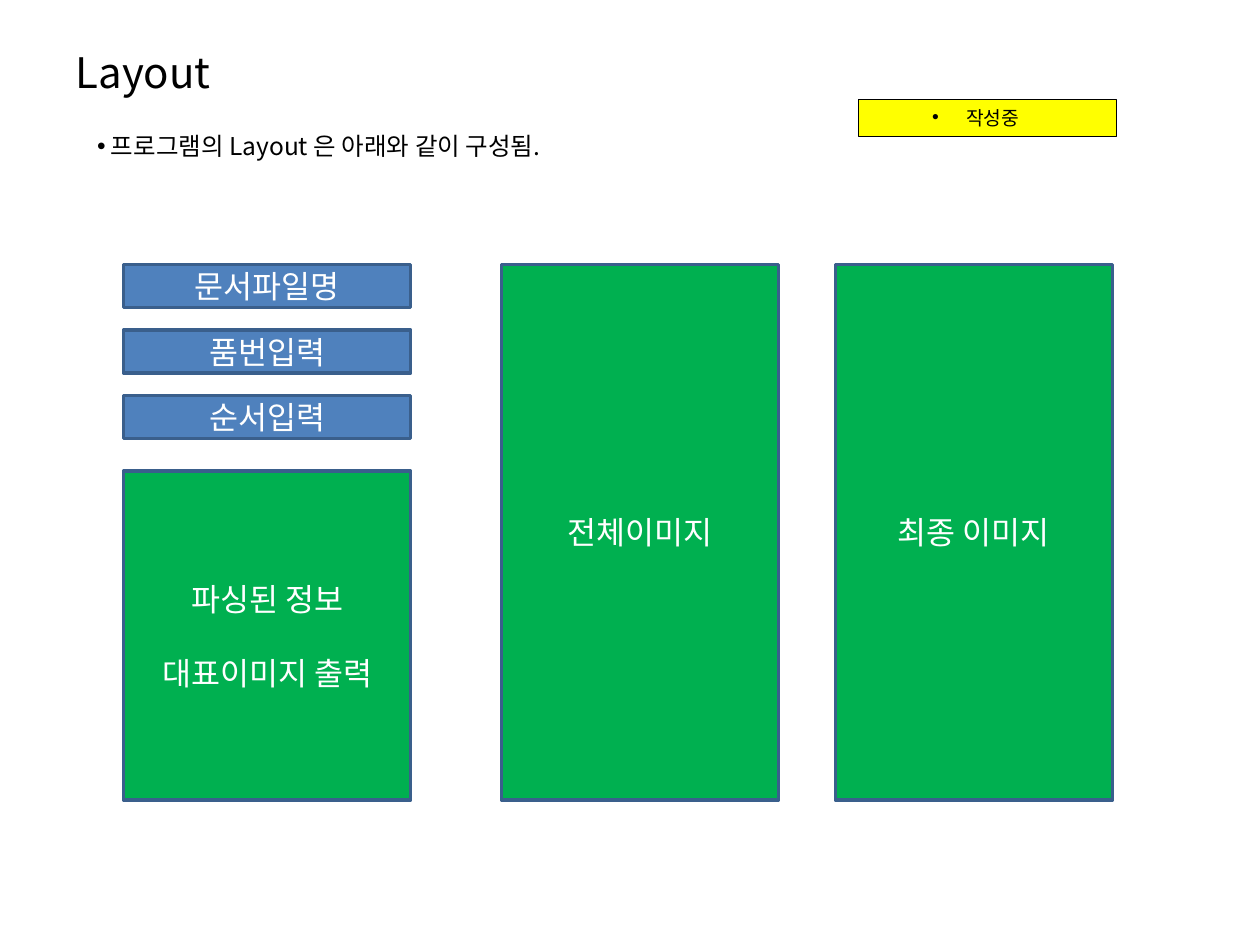
from lxml.etree import SubElement as Sub
from pptx import Presentation
from pptx.dml.color import RGBColor
from pptx.enum.shapes import MSO_SHAPE as Shape
from pptx.enum.text import MSO_ANCHOR as Anchor, MSO_AUTO_SIZE as Fit, PP_ALIGN as Align
from pptx.oxml.ns import qn
from pptx.util import Inches, Pt

FONT = "Noto Sans CJK KR"
BLUE, GREEN, EDGE, WHITE = "4F81BD", "00B050", "3A5F8C", "FFFFFF"
LEFT, TOP, FOOT = 0.98, 2.1, 6.35
WIDE, BAR, STEP = 2.28, 0.34, 0.52


def color(code):
    """Turn a hex string into a colour."""
    return RGBColor.from_string(code)


def place(item, x, y, w, h):
    """Set an item's box in inches."""
    item.left, item.top, item.width, item.height = map(Inches, (x, y, w, h))


def write(item, text, size=18, ink=WHITE, align=Align.CENTER, anchor=Anchor.MIDDLE, gap=0):
    """Fill an item with formatted paragraphs, one per line of text."""
    frame = item.text_frame
    frame.text = text
    frame.word_wrap, frame.auto_size = True, Fit.NONE
    frame.vertical_anchor = anchor
    for n, para in enumerate(frame.paragraphs):
        para.alignment = align
        para.space_before = Pt(gap if n else 0)
        for run in para.runs:
            font = run.font
            font.name, font.size = FONT, Pt(size)
            font.color.rgb = color(ink)
            Sub(font._element, qn("a:ea"), typeface=FONT)


def bullet(item, hang):
    """Give the first paragraph a hanging dot."""
    props = item.text_frame.paragraphs[0]._p.get_or_add_pPr()
    props.set("marL", str(Inches(hang)))
    props.set("indent", str(-Inches(hang)))
    Sub(props, qn("a:buFont"), typeface="Arial")
    Sub(props, qn("a:buChar"), char="•")


def panel(slide, text, x, y, w, h, fill=GREEN, edge=EDGE, line=2, **style):
    """Add a labelled rectangle."""
    box = slide.shapes.add_shape(Shape.RECTANGLE, *map(Inches, (x, y, w, h)))
    box.shadow.inherit = False
    box.fill.solid()
    box.fill.fore_color.rgb = color(fill)
    box.line.color.rgb = color(edge)
    box.line.width = Pt(line)
    write(box, text, **style)
    return box


def heading(slide):
    """Fill the title and body placeholders."""
    title, body = slide.placeholders
    place(title, 0.5, 0.3, 8.99, 0.54)
    write(title, "Layout", size=24, ink="000000", align=Align.LEFT)
    place(body, 0.67, 0.99, 8.66, 0.34)
    write(body, "프로그램의 Layout 은 아래와 같이 구성됨.", size=14, ink="000000",
          align=Align.LEFT, anchor=Anchor.TOP)
    bullet(body, 0.11)


def status(slide):
    """Add the yellow progress tag."""
    tag = panel(slide, "작성중", 6.81, 0.79, 2.05, 0.29, fill="FFFF00", edge="000000",
                line=0.25, size=11, ink="000000", anchor=Anchor.TOP)
    tag.text_frame.margin_left, tag.text_frame.margin_right = 0, Inches(0.18)
    bullet(tag, 0.27)


def main():
    """Build and save the slide."""
    deck = Presentation()
    deck.slide_width, deck.slide_height = Inches(10), Inches(7.5)
    slide = deck.slides.add_slide(deck.slide_layouts[1])
    heading(slide)
    status(slide)
    for n, name in enumerate(("문서파일명", "품번입력", "순서입력")):
        panel(slide, name, LEFT, TOP + n * STEP, WIDE, BAR, fill=BLUE)
    panel(slide, "파싱된 정보\n대표이미지 출력", LEFT, 3.74, WIDE, FOOT - 3.74, gap=21)
    for n, name in enumerate(("전체이미지", "최종 이미지")):
        panel(slide, name, 3.98 + n * 2.65, TOP, 2.2, FOOT - TOP)
    deck.save("out.pptx")


if __name__ == "__main__":
    main()
